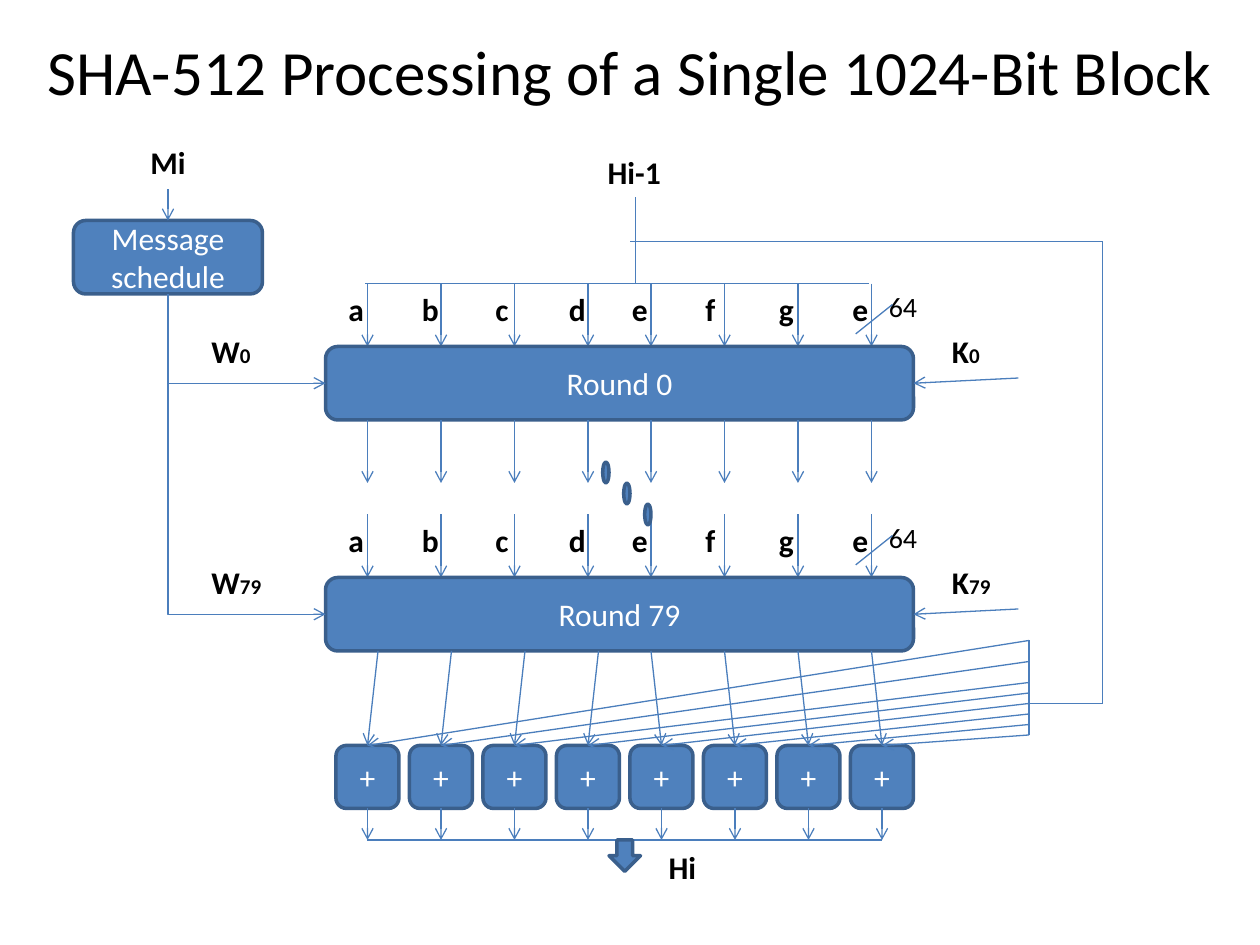
from lxml import etree
from pptx import Presentation
from pptx.dml.color import RGBColor
from pptx.enum.shapes import MSO_CONNECTOR, MSO_SHAPE
from pptx.enum.text import MSO_ANCHOR, MSO_AUTO_SIZE, PP_ALIGN
from pptx.oxml.ns import qn
from pptx.util import Pt

PX = 7620  # EMU per px, 120 px to the inch
FONT = "Calibri"
COLORS = {"fill": "4F81BD", "edge": "3A5F8C", "wire": "4B7EBC",
          "dark": "000000", "light": "FFFFFF"}
STRAIGHT, ELBOW = MSO_CONNECTOR.STRAIGHT, MSO_CONNECTOR.ELBOW
ROUNDED, DOT = MSO_SHAPE.ROUNDED_RECTANGLE, MSO_SHAPE.FLOWCHART_CONNECTOR
DOWN_ARROW = MSO_SHAPE.DOWN_ARROW
CENTER, MIDDLE = PP_ALIGN.CENTER, MSO_ANCHOR.MIDDLE
GROW = MSO_AUTO_SIZE.SHAPE_TO_FIT_TEXT
TOP, LEFT, BOTTOM, RIGHT = range(4)

TITLE = "SHA-512 Processing of a Single 1024-Bit Block"
REGISTERS = ["a", "b", "c", "d", "e", "f", "g", "e"]
ROUNDS = [("0", 330, 80, 60), ("79", 550, 90, 70)]  # number, top, W width, K width
LABELS = [("Mi", 130, 130, 60, 50), ("Hi-1", 564, 140, 80, 48),
          ("Hi", 620, 802, 60, 48)]
LANES = [350, 420, 490, 560, 620, 690, 760, 830]
ROUND_LEFT, ROUND_WIDTH, ROUND_HEIGHT = 310, 560, 70
ROUND_RIGHT = ROUND_LEFT + ROUND_WIDTH
LANE_LENGTH = 60
ADDER_LEFT, ADDER_TOP, ADDER_SIZE, ADDER_PITCH = 320, 710, 60, 70
OUTPUT_Y = 800
FEEDBACK_X = 980
FEEDBACK_YS = [610, 630, 650, 660, 670, 680, 690, 700]
FEEDBACK_WIRES = [(600, 230, 1050, 230), (1050, 230, 1050, 670),
                  (1050, 670, FEEDBACK_X, 670), (FEEDBACK_X, 610, FEEDBACK_X, 700)]

deck = Presentation()
deck.slide_width, deck.slide_height = 1200 * PX, 900 * PX
page = deck.slides.add_slide(deck.slide_layouts[5])


def emu(*lengths):
    return [round(length * PX) for length in lengths]


def rgb(name):
    return RGBColor.from_string(COLORS[name])


def write(frame, text, small="", size=18, bold=False, color="dark"):
    """Put centred text in a frame, with an optional smaller index after it."""
    frame.word_wrap = True
    para = frame.paragraphs[0]
    para.alignment = CENTER
    for words, points in ((text, size), (small, 12)):
        if words:
            span = para.add_run()
            span.text = words
            span.font.name = FONT
            span.font.size = Pt(points)
            span.font.bold = bold
            span.font.color.rgb = rgb(color)


def add_label(text, left, top, width, height=48, small="", size=18, bold=True):
    box = page.shapes.add_textbox(*emu(left, top, width, height))
    write(box.text_frame, text, small=small, size=size, bold=bold)
    box.text_frame.auto_size = GROW


def add_block(kind, left, top, width, height, text=""):
    block = page.shapes.add_shape(kind, *emu(left, top, width, height))
    block.shadow.inherit = False
    block.fill.solid()
    block.fill.fore_color.rgb = rgb("fill")
    block.line.color.rgb = rgb("edge")
    block.line.width = Pt(2)
    if text:
        block.text_frame.vertical_anchor = MIDDLE
        write(block.text_frame, text, color="light")
    return block


def add_wire(x1, y1, x2, y2, arrow=False, begin=None, end=None, kind=STRAIGHT):
    """Draw a line; begin and end are (shape, side) pairs to join."""
    wire = page.shapes.add_connector(kind, *emu(x1, y1, x2, y2))
    wire.line.color.rgb = rgb("wire")
    wire.line.width = Pt(0.75)
    if begin:
        wire.begin_connect(*begin)
    if end:
        wire.end_connect(*end)
    properties = wire.element.spPr
    etree.SubElement(properties, qn("a:effectLst"))
    if arrow:
        etree.SubElement(properties.find(qn("a:ln")), qn("a:tailEnd"), type="arrow")
    return wire


def add_corner_wire(x1, y1, x2, y2, begin, end):
    """Go down, then right, with a single bend."""
    wire = add_wire(x1, y1, x2, y2, arrow=True, begin=begin, end=end, kind=ELBOW)
    across, down = x2 - x1, y2 - y1
    wire.left, wire.top, wire.width, wire.height = emu(
        (x1 + x2 - down) / 2, (y1 + y2 - across) / 2, down, across)
    properties = wire.element.spPr
    properties.find(qn("a:prstGeom")).set("prst", "bentConnector2")
    frame = properties.find(qn("a:xfrm"))
    frame.set("rot", "16200000")
    frame.set("flipH", "1")


title = page.shapes.title
title.left, title.top, title.width, title.height = emu(25, 14, 1150, 106)
title.text_frame.vertical_anchor = MIDDLE
write(title.text_frame, TITLE, size=36)

for text, *place in LABELS:
    add_label(text, *place)

schedule = add_block(ROUNDED, 70, 210, 180, 70, "Message schedule")
add_wire(160, 180, 160, 210, arrow=True, end=(schedule, TOP))
add_wire(605, 188, 605, 270)
add_wire(348, 270, 828, 270)

for number, top, w_width, k_width in ROUNDS:
    lane_top, middle = top - LANE_LENGTH, top + ROUND_HEIGHT // 2
    for register, x in zip(REGISTERS, LANES):
        add_wire(x, lane_top, x, top, arrow=True)
        add_label(register, x - 30, lane_top, 30)
    add_label("64", 830, lane_top, 60, 44, size=16, bold=False)
    add_wire(850, lane_top + 20, 815, lane_top + 48)
    block = add_block(ROUNDED, ROUND_LEFT, top, ROUND_WIDTH, ROUND_HEIGHT,
                      f"Round {number}")
    add_corner_wire(160, 280, ROUND_LEFT, middle, (schedule, BOTTOM), (block, LEFT))
    add_wire(970, middle - 5, ROUND_RIGHT, middle, arrow=True, end=(block, RIGHT))
    add_label("W", 180, top - 20, w_width, small=number)
    add_label("K", 890, top - 20, k_width, small=number)

first_bottom, last_bottom = [top + ROUND_HEIGHT for _, top, *_ in ROUNDS]
for x in LANES:
    add_wire(x, first_bottom, x, first_bottom + LANE_LENGTH, arrow=True)
for step in range(3):
    add_block(DOT, 574 + 20 * step, 440 + 20 * step, 6, 20)

for i, (lane, feedback_y) in enumerate(zip(LANES, FEEDBACK_YS)):
    left = ADDER_LEFT + i * ADDER_PITCH
    center, bottom = left + ADDER_SIZE // 2, ADDER_TOP + ADDER_SIZE
    adder = add_block(ROUNDED, left, ADDER_TOP, ADDER_SIZE, ADDER_SIZE, "+")
    start = lane + 10 if i < 4 else lane
    add_wire(start, last_bottom, center, ADDER_TOP, arrow=True, end=(adder, TOP))
    add_wire(FEEDBACK_X, feedback_y, center, ADDER_TOP, arrow=True, end=(adder, TOP))
    add_wire(center, bottom, center, OUTPUT_Y, arrow=True, begin=(adder, BOTTOM))

add_wire(350, OUTPUT_Y, 840, OUTPUT_Y)
add_block(DOWN_ARROW, 580, OUTPUT_Y, 30, 30)
for ends in FEEDBACK_WIRES:
    add_wire(*ends)

deck.save("out.pptx")
